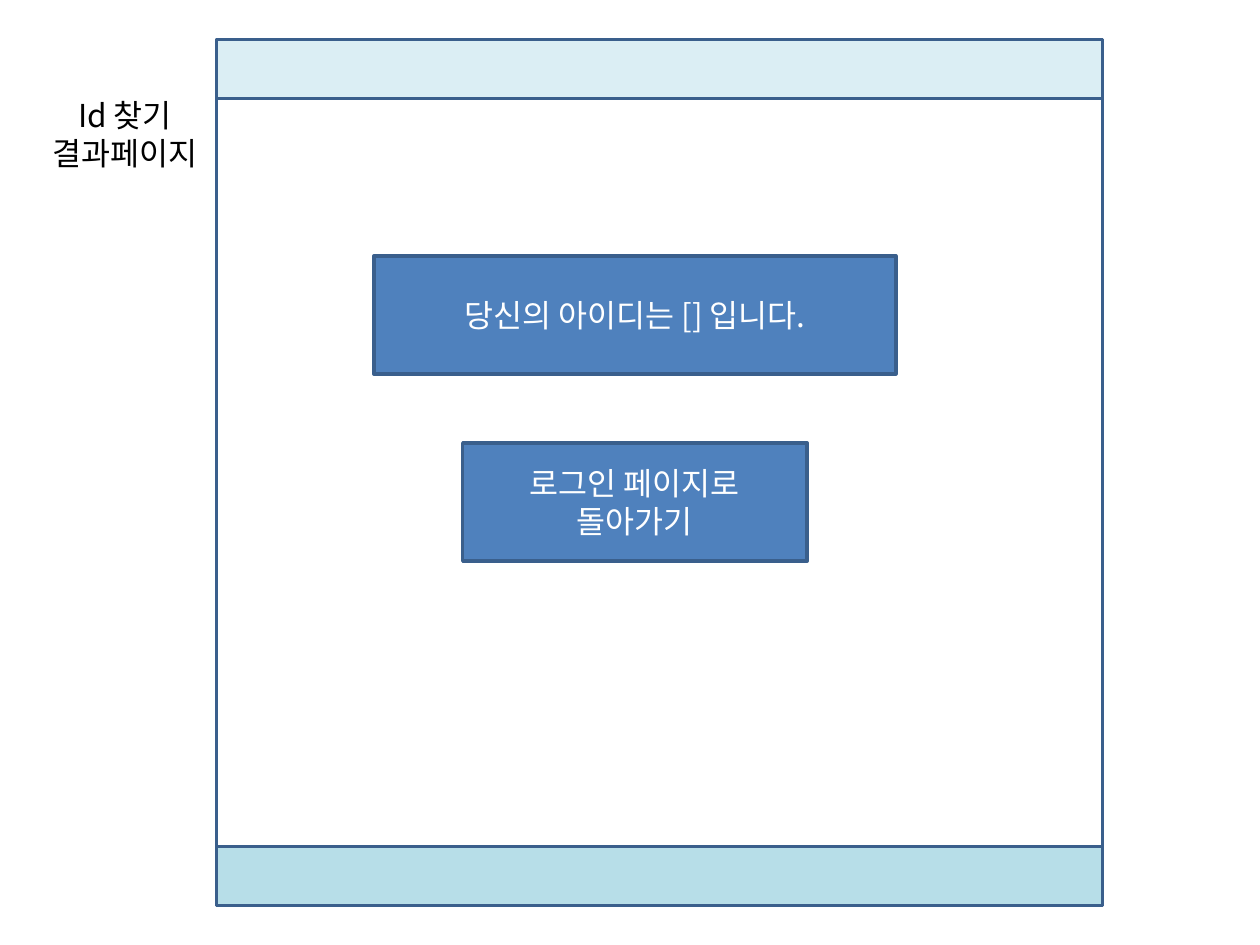
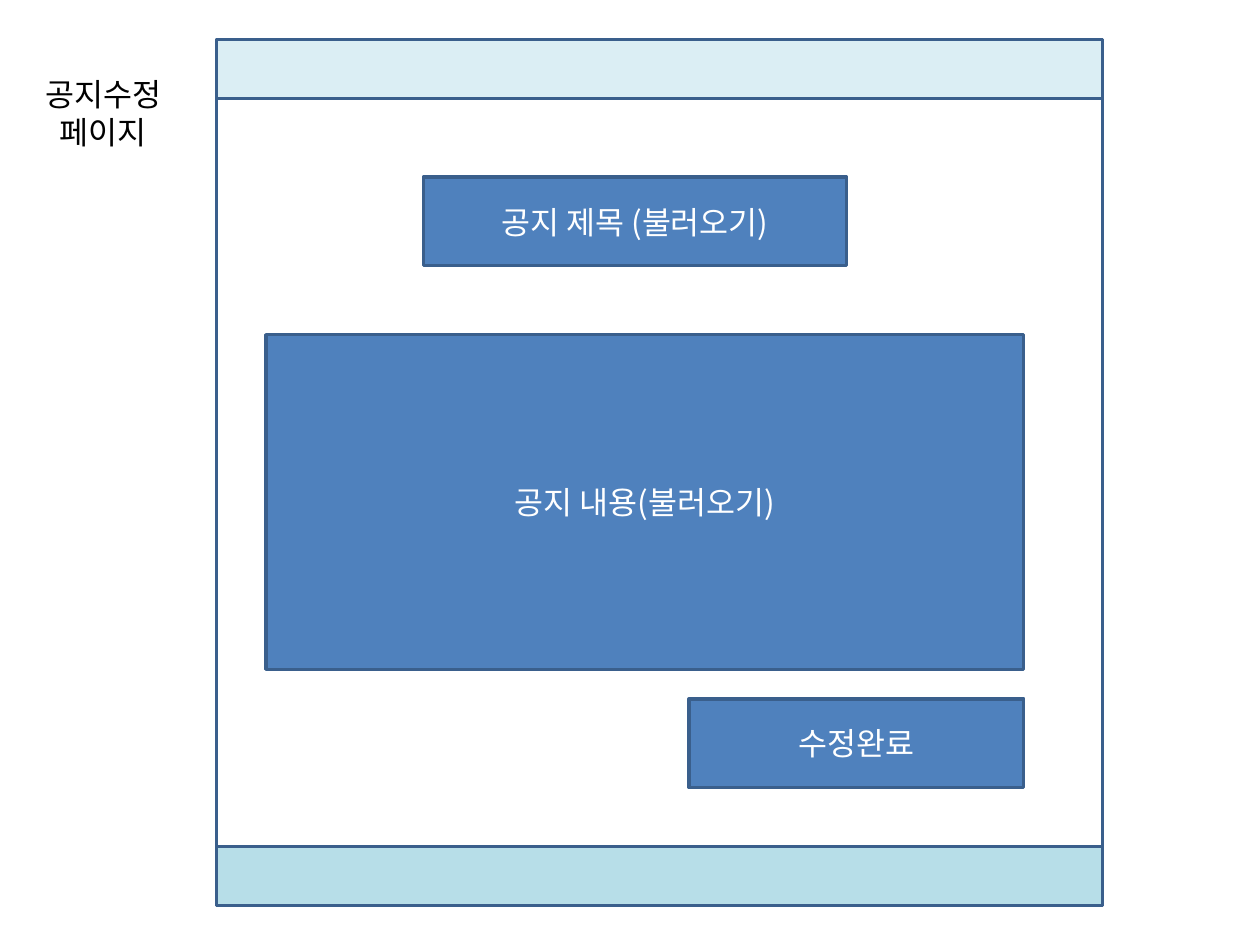
from lxml import etree
from pptx import Presentation
from pptx import util as u
from pptx.dml.color import RGBColor
from pptx.enum import shapes, text
from pptx.oxml.ns import qn

FONT = "Noto Sans CJK KR"
WHITE = RGBColor(0xFF, 0xFF, 0xFF)
BLACK = RGBColor(0, 0, 0)
PALE = RGBColor(0xDB, 0xEE, 0xF4)
AQUA = RGBColor(0xB7, 0xDE, 0xE8)
BLUE = RGBColor(0x4F, 0x81, 0xBD)
EDGE = RGBColor(0x3A, 0x5F, 0x8C)

WIDE, HIGH = u.Inches(10), u.Inches(7.5)
COLS = 128
CELL = WIDE / COLS

LEFT, TOP, SPAN, TALL, BAND = 22, 4, 90, 88, 6
FRAME = [
    ((LEFT, TOP, SPAN, TALL), WHITE),
    ((LEFT, TOP, SPAN, BAND), PALE),
    ((LEFT, TOP + TALL - BAND, SPAN, BAND), AQUA),
]

PAGES = [
    {
        "label": ["Id 찾기", "결과페이지"],
        "spot": (2.2, 9.1),
        "boxes": [
            ("당신의 아이디는 [] 입니다.", (38, 26, 53, 12)),
            ("로그인 페이지로 돌아가기", (47, 45, 35, 12)),
        ],
    },
    {
        "label": ["공지수정", "페이지"],
        "spot": (0, 7),
        "boxes": [
            ("공지 제목 (불러오기)", (43, 18, 43, 9)),
            ("공지 내용(불러오기)", (27, 34, 77, 34)),
            ("수정완료", (70, 71, 34, 9)),
        ],
    },
]
LABEL = (21, 9.1)


def place(area):
    return [round(n * CELL) for n in area]


def write(frame, lines, color):
    frame.word_wrap = True
    for i, line in enumerate(lines):
        para = frame.paragraphs[0] if i == 0 else frame.add_paragraph()
        para.alignment = text.PP_ALIGN.CENTER
        run = para.add_run()
        run.text = line
        font = run.font
        font.size = u.Pt(18)
        font.color.rgb = color
        font.name = FONT
        east = etree.SubElement(run._r.get_or_add_rPr(), qn("a:ea"))
        east.set("typeface", FONT)


def block(slide, area, fill):
    box = slide.shapes.add_shape(shapes.MSO_SHAPE.RECTANGLE, *place(area))
    box.shadow.inherit = False
    box.fill.solid()
    box.fill.fore_color.rgb = fill
    box.line.color.rgb = EDGE
    box.line.width = u.Pt(2)
    return box


def draw(deck, page):
    slide = deck.slides.add_slide(deck.slide_layouts[6])
    for area, fill in FRAME:
        block(slide, area, fill)
    for line, area in page["boxes"]:
        frame = block(slide, area, BLUE).text_frame
        frame.vertical_anchor = text.MSO_ANCHOR.MIDDLE
        write(frame, [line], WHITE)
    label = slide.shapes.add_textbox(*place(page["spot"] + LABEL))
    write(label.text_frame, page["label"], BLACK)
    label.text_frame.auto_size = text.MSO_AUTO_SIZE.SHAPE_TO_FIT_TEXT


def main():
    deck = Presentation()
    deck.slide_width, deck.slide_height = WIDE, HIGH
    for page in PAGES:
        draw(deck, page)
    deck.save("out.pptx")


if __name__ == "__main__":
    main()
